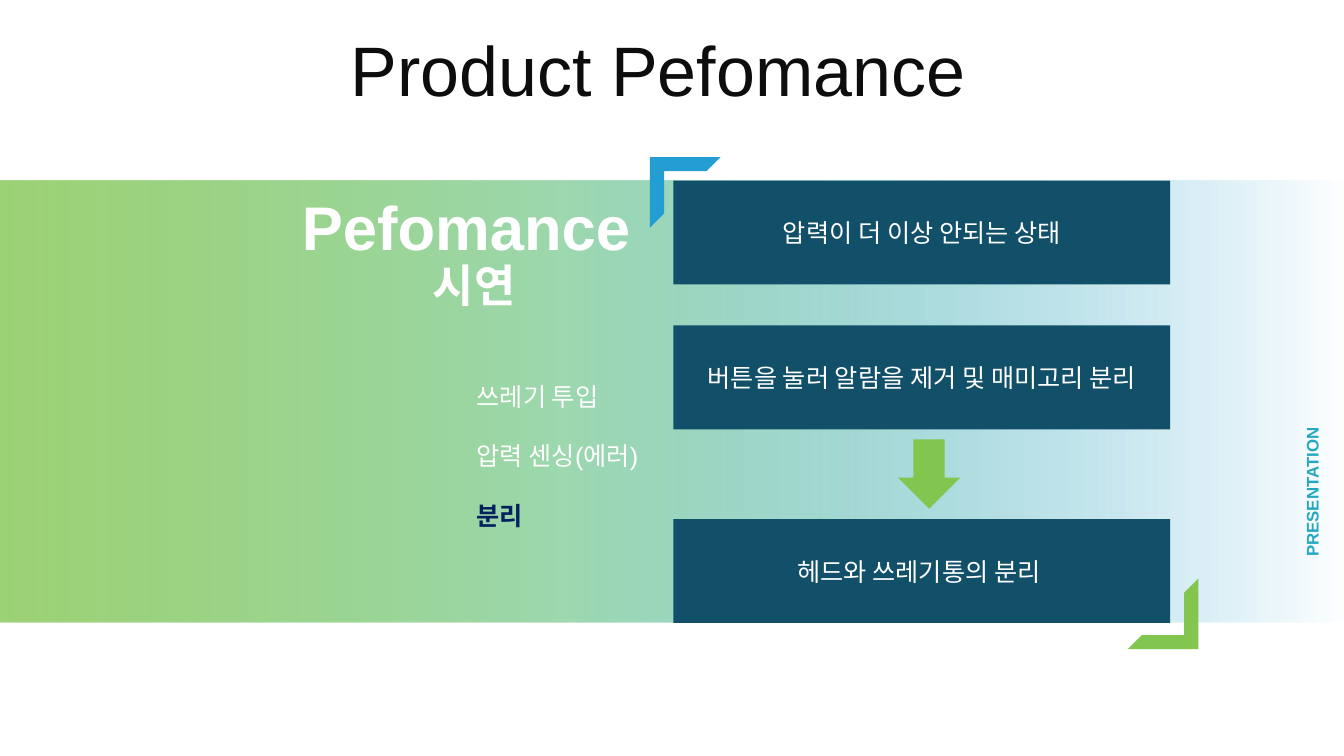
from lxml import etree
from pptx import Presentation
from pptx import util as u
from pptx.dml.color import RGBColor
from pptx.enum import shapes, text
from pptx.oxml.ns import qn

# Content
TITLE = "Product Pefomance"
# text, (left, top, width, height), size, colour, alignment, rotation
LABELS = [
    ("PRESENTATION", (28.3, 9.14, 9.52, 0.76), 12, "24A8C2", "JUSTIFY", 270),
    ("Pefomance", (6.99, 4.62, 9.52, 2.13), 44, "FFFFFF", "CENTER", 0),
    ("시연", (7.19, 6.35, 9.52, 1.63), 32, "FFFFFF", "CENTER", 0),
]
# text, colour, bold
STEPS = [
    ("쓰레기 투입", "FFFFFF", False),
    ("압력 센싱(에러)", "FFFFFF", False),
    ("분리", "002060", True),
]
# text, top
BOXES = [
    ("압력이 더 이상 안되는 상태", 4.55),
    ("버튼을 눌러 알람을 제거 및 매미고리 분리", 8.2),
    ("헤드와 쓰레기통의 분리 ", 13.08),
]
# left, top, colour, rotation
CORNERS = [(28.42, 14.58, "82C650", 180), (16.38, 3.96, "249ED2", 0)]
# position %, colour, opacity %
BAND_STOPS = [(0, "82C650", 78), (42, "9DD8AF", 100), (100, "249ED2", 0)]

# Measures in cm
SLIDE_W, SLIDE_H = 33.87, 19.05
BOX_LEFT, BOX_W, BOX_H = 16.97, 12.52, 2.62
BAND_TOP = BOXES[0][1]
BAND_H = BOXES[-1][1] + BOX_H - BAND_TOP
CORNER = 1.78


def rgb(value):
    return RGBColor.from_string(value)


def place(sp, left, top, width, height):
    sp.left, sp.top = u.Cm(left), u.Cm(top)
    sp.width, sp.height = u.Cm(width), u.Cm(height)


def add_run(p, words, size, color, bold=False):
    r = p.add_run()
    r.text = words
    r.font.name = "Arial"
    r.font.size = u.Pt(size)
    r.font.bold = bold
    r.font.color.rgb = rgb(color)


def set_frame(sp, anchor):
    tf = sp.text_frame
    tf.word_wrap = True
    tf.auto_size = text.MSO_AUTO_SIZE.NONE
    tf.vertical_anchor = anchor
    return tf


def add_shape(s, kind, where, color):
    sp = s.shapes.add_shape(kind, *map(u.Cm, where))
    sp.shadow.inherit = False
    sp.line.fill.background()
    sp.fill.solid()
    sp.fill.fore_color.rgb = rgb(color)
    return sp


def set_gradient(sp, stops):
    sp.fill.gradient()
    sp.fill.gradient_angle = 0
    stop_list = sp.element.spPr.find(qn("a:gradFill")).find(qn("a:gsLst"))
    for old in list(stop_list):
        stop_list.remove(old)
    for position, color, opacity in stops:
        gs = etree.SubElement(stop_list, qn("a:gs"), pos=str(position * 1000))
        clr = etree.SubElement(gs, qn("a:srgbClr"), val=color)
        etree.SubElement(clr, qn("a:alpha"), val=str(opacity * 1000))


def main():
    prs = Presentation()
    prs.slide_width, prs.slide_height = u.Cm(SLIDE_W), u.Cm(SLIDE_H)
    s = prs.slides.add_slide(prs.slide_layouts[1])
    middle = text.MSO_ANCHOR.MIDDLE
    kinds = shapes.MSO_SHAPE

    # Title
    title = s.shapes.title
    place(title, 7.82, 0.86, 21.26, 2.01)
    tf = set_frame(title, middle)
    tf.margin_left = u.Cm(1.02)
    p = tf.paragraphs[0]
    p.alignment = text.PP_ALIGN.LEFT
    p.line_spacing = 0.9
    add_run(p, TITLE, 50, "0D0D0D")

    # Gradient band
    band = add_shape(s, kinds.RECTANGLE, (0, BAND_TOP, SLIDE_W, BAND_H), "9DD8AF")
    set_gradient(band, BAND_STOPS)

    # State boxes
    for words, top in BOXES:
        sp = add_shape(s, kinds.RECTANGLE, (BOX_LEFT, top, BOX_W, BOX_H), "124F69")
        p = set_frame(sp, middle).paragraphs[0]
        p.alignment = text.PP_ALIGN.CENTER
        add_run(p, words, 18, "FFFFFF")

    # Corner brackets
    for left, top, color, rotation in CORNERS:
        sp = add_shape(s, kinds.HALF_FRAME, (left, top, CORNER, CORNER), color)
        sp.adjustments[0] = sp.adjustments[1] = 0.2
        sp.rotation = rotation

    # Arrow
    add_shape(s, kinds.DOWN_ARROW, (22.63, 11.07, 1.57, 1.75), "82C650")

    # Headings and side label
    for words, where, size, color, align, rotation in LABELS:
        sp = s.shapes.add_textbox(*map(u.Cm, where))
        sp.rotation = rotation
        p = set_frame(sp, middle).paragraphs[0]
        p.alignment = text.PP_ALIGN[align]
        add_run(p, words, size, color, True)

    # Step list, brought in front of the band
    body = s.placeholders[1]
    place(body, 11.76, 9.47, 4.8, 4.11)
    body.element.getparent().append(body.element)
    tf = set_frame(body, text.MSO_ANCHOR.TOP)
    for i, (words, color, bold) in enumerate(STEPS):
        p = tf.add_paragraph() if i else tf.paragraphs[0]
        pPr = p._p.get_or_add_pPr()
        pPr.set("marL", "0")
        pPr.set("indent", "0")
        etree.SubElement(pPr, qn("a:buNone"))
        p.space_before = u.Pt(21 if i else 0)
        add_run(p, words, 18, color, bold)

    prs.save("out.pptx")


if __name__ == "__main__":
    main()
